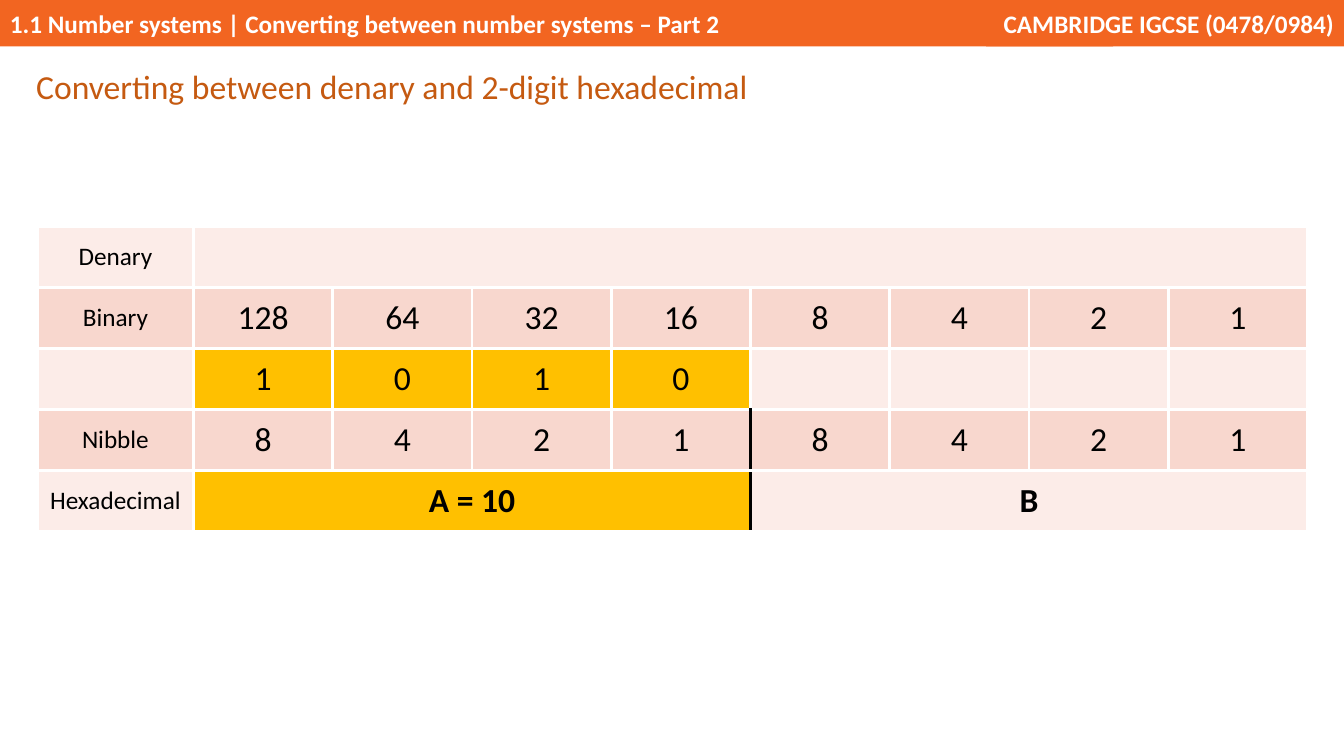
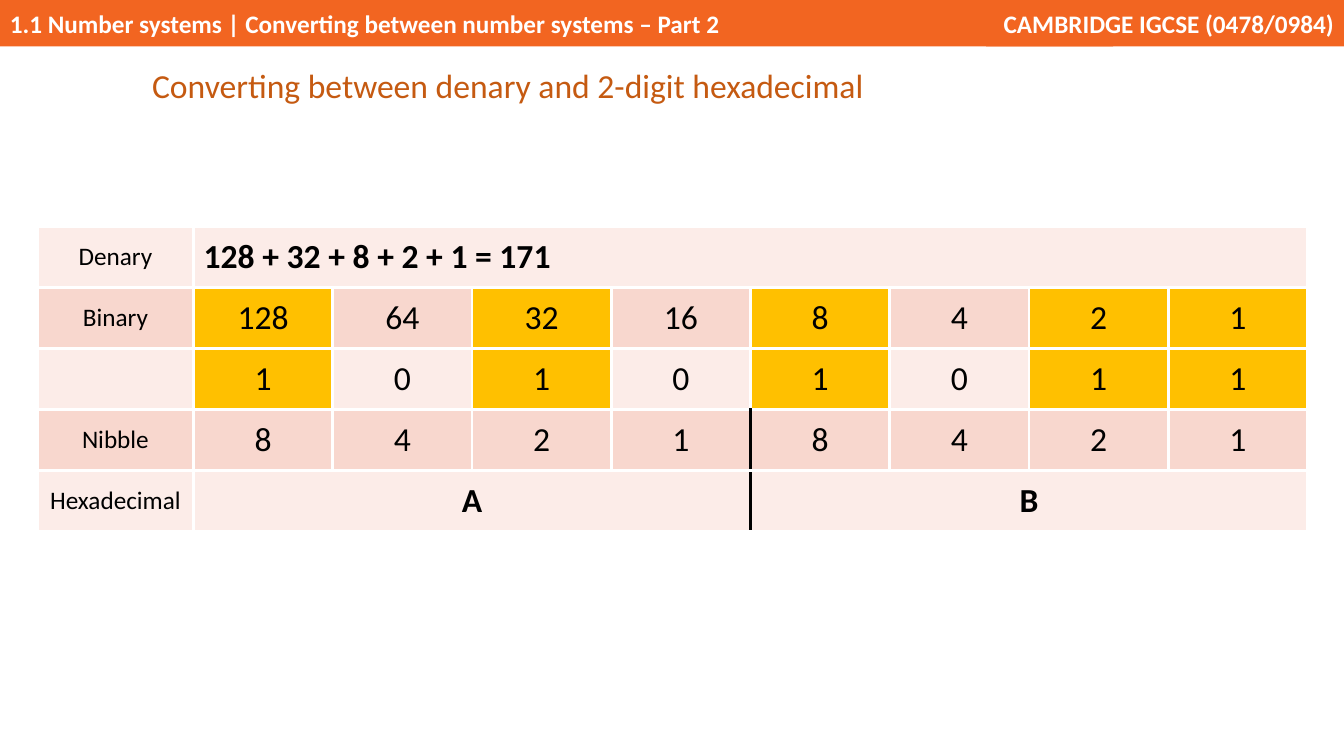
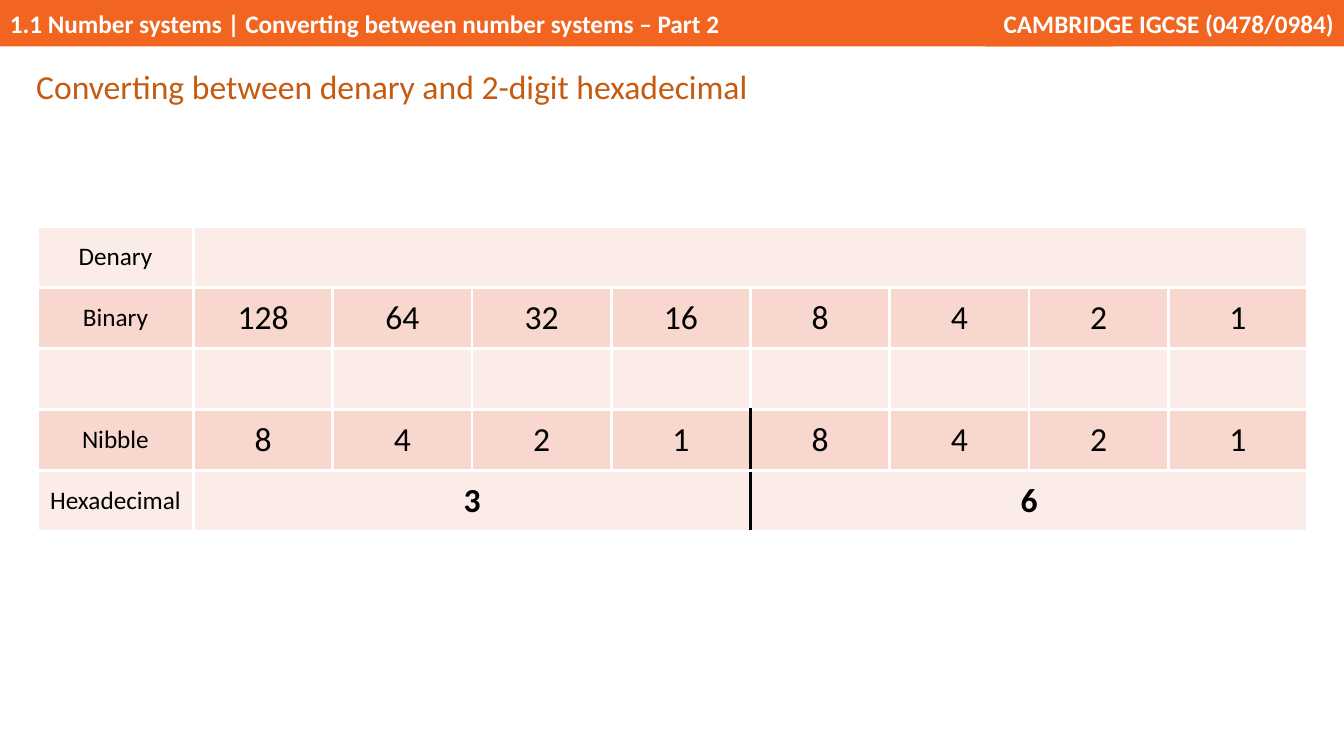
"""Three slides converting between denary, binary and 2-digit hexadecimal."""
from lxml import etree
from pptx import Presentation
from pptx.dml.color import RGBColor
from pptx.enum.shapes import MSO_SHAPE
from pptx.enum.text import MSO_ANCHOR, PP_ALIGN
from pptx.oxml.ns import qn
from pptx.util import Inches, Pt

RECT = MSO_SHAPE.RECTANGLE
MIDDLE = MSO_ANCHOR.MIDDLE
LEFT, CENTER, RIGHT = PP_ALIGN.LEFT, PP_ALIGN.CENTER, PP_ALIGN.RIGHT

COLORS = {
    "band": "F26521", "title": "C55A11", "white": "FFFFFF", "black": "000000",
    "light": "FCECE8", "dark": "F8D7CE", "lit": "FFC000",
}
FONT = "Calibri"
W, H = 13.33, 7.5
BAND_H = 0.46
TABLE_X, TABLE_Y, TABLE_W, TABLE_H = 0.37, 0.3 * H, 12.6, 3.02
LABEL_W = 1.55
BITS = 8
BIT_W = (TABLE_W - LABEL_W) / BITS
TITLE = "Converting between denary and 2-digit hexadecimal"
BANDS = [
    (0, 11.04, LEFT, "1.1 Number systems | Converting between number systems – Part 2"),
    (9.78, W - 9.78, RIGHT, "CAMBRIDGE IGCSE (0478/0984)"),
]
LABELS = ["Denary", "Binary", "", "Nibble", "Hexadecimal"]
PLACES = [str(2 ** n) for n in reversed(range(BITS))]
NIBBLES = PLACES[4:] * 2
SPANS = {(0, 1): 8, (4, 1): 4, (4, 5): 4}
SLIDES = [
    {"title": (0.26, 0.58), "denary": "", "bits": "1010", "hex": ("A = 10", "B"),
     "lit": {(2, 1), (2, 2), (2, 3), (2, 4), (4, 1)}},
    {"title": (1.41, 0.57), "denary": "128 + 32 + 8 + 2 + 1 = 171",
     "bits": "10101011", "hex": ("A", "B"),
     "lit": {(row, col) for row in (1, 2) for col in (1, 3, 5, 7, 8)}},
    {"title": (0.26, 0.58), "denary": "", "bits": "", "hex": ("3", "6"), "lit": set()},
]


def write(tf, text, size, color, bold=False, align=LEFT):
    tf.text = text
    p = tf.paragraphs[0]
    p.alignment = align
    for r in p.runs:
        r.font.name = FONT
        r.font.size = Pt(size)
        r.font.bold = bold
        r.font.color.rgb = RGBColor.from_string(COLORS[color])
    return p


def add_borders(cell, edges):
    tcPr = cell._tc.get_or_add_tcPr()
    for i, (side, color) in enumerate(edges.items()):
        ln = etree.Element(qn(f"a:ln{side}"), w=str(Pt(2.25)))
        fill = etree.SubElement(ln, qn("a:solidFill"))
        etree.SubElement(fill, qn("a:srgbClr"), val=COLORS[color])
        tcPr.insert(i, ln)


prs = Presentation()
prs.slide_width, prs.slide_height = Inches(W), Inches(H)

for data in SLIDES:
    s = prs.slides.add_slide(prs.slide_layouts[6])

    for x, width, align, text in BANDS:
        sp = s.shapes.add_shape(RECT, Inches(x), 0, Inches(width), Inches(BAND_H))
        sp.shadow.inherit = False
        sp.fill.solid()
        sp.fill.fore_color.rgb = RGBColor.from_string(COLORS["band"])
        sp.line.fill.background()
        sp.text_frame.vertical_anchor = MIDDLE
        write(sp.text_frame, text, 18, "white", True, align)

    x, y = data["title"]
    sp = s.shapes.add_textbox(Inches(x), Inches(y), Inches(7.42), Inches(0.51))
    sp.text_frame.word_wrap = True
    p = write(sp.text_frame, TITLE, 24, "title")
    p.line_spacing = 1.07
    p.space_after = Pt(8)

    rows = [[data["denary"]], PLACES, data["bits"], NIBBLES,
            [data["hex"][0], "", "", "", data["hex"][1]]]
    table = s.shapes.add_table(len(rows), BITS + 1, Inches(TABLE_X), Inches(TABLE_Y),
                               Inches(TABLE_W), Inches(TABLE_H)).table
    table.first_row = table.horz_banding = False
    for col, column in enumerate(table.columns):
        column.width = Inches(BIT_W if col else LABEL_W)
    for (row, col), span in SPANS.items():
        table.cell(row, col).merge(table.cell(row, col + span - 1))

    for row, values in enumerate(rows):
        texts = [LABELS[row], *values]
        texts += [""] * (BITS + 1 - len(texts))
        for col, text in enumerate(texts):
            cell = table.cell(row, col)
            shade = "lit" if (row, col) in data["lit"] else ("light", "dark")[row % 2]
            cell.fill.solid()
            cell.fill.fore_color.rgb = RGBColor.from_string(COLORS[shade])
            cell.vertical_anchor = MIDDLE
            last = col + SPANS.get((row, col), 1) - 1
            add_borders(cell, {
                "L": "black" if row >= 3 and col == 5 else "white",
                "R": "black" if row >= 3 and last == 4 else "white",
                "T": "white",
                "B": "white",
            })
            write(cell.text_frame, text, 24 if col else 18, "black",
                  (row, col) in SPANS, LEFT if (row, col) == (0, 1) else CENTER)

prs.save("out.pptx")
